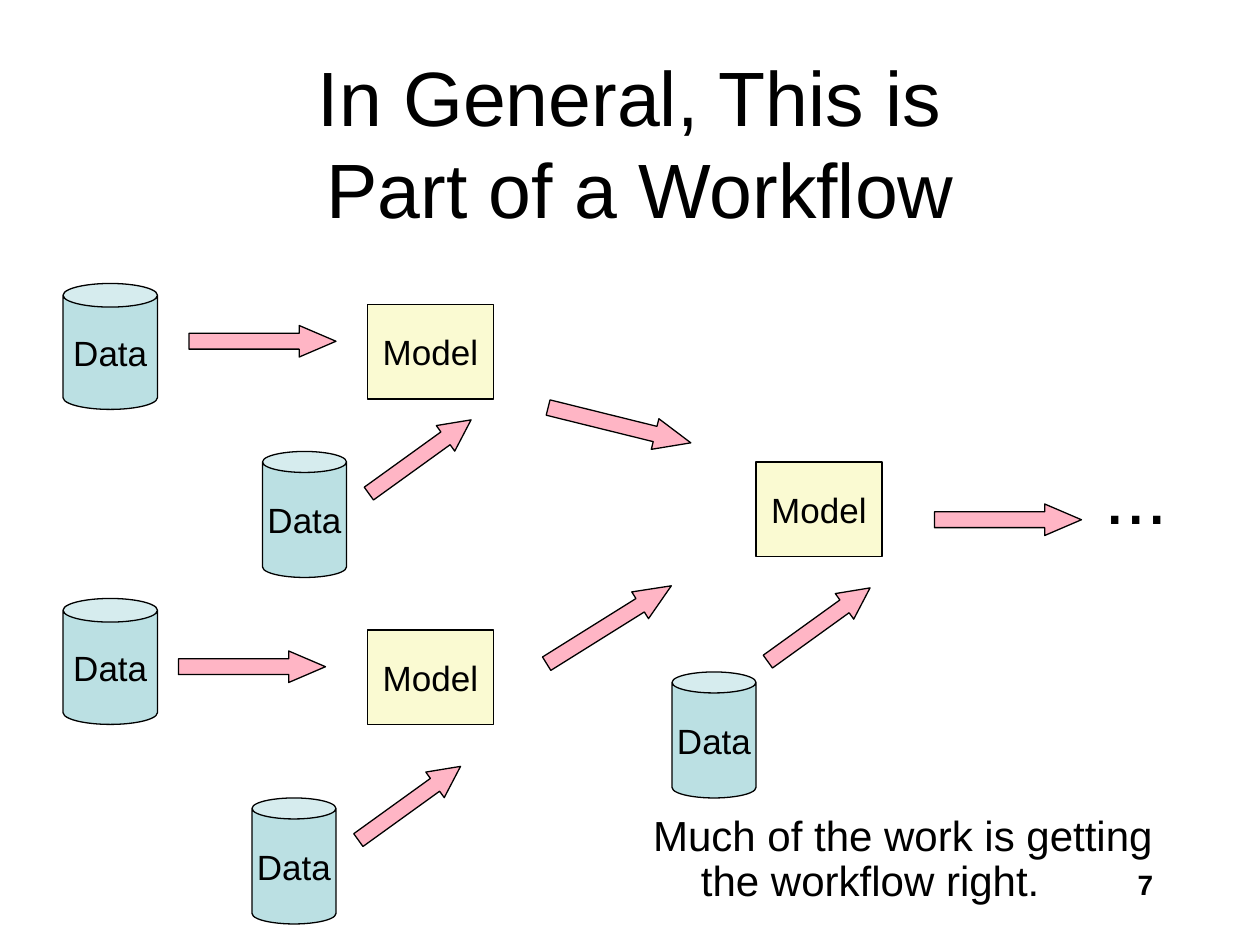
from pptx import Presentation
from pptx.dml.color import RGBColor
from pptx.enum.shapes import MSO_SHAPE
from pptx.enum.text import MSO_ANCHOR, MSO_AUTO_SIZE, PP_ALIGN
from pptx.util import Inches, Pt
from lxml import etree

CAN, RECTANGLE, ARROW = MSO_SHAPE.CAN, MSO_SHAPE.RECTANGLE, MSO_SHAPE.RIGHT_ARROW
TOP, MIDDLE = MSO_ANCHOR.TOP, MSO_ANCHOR.MIDDLE
LEFT, CENTER, RIGHT = PP_ALIGN.LEFT, PP_ALIGN.CENTER, PP_ALIGN.RIGHT
NO_AUTOFIT = MSO_AUTO_SIZE.NONE

WIDTH, HEIGHT = Inches(10), Inches(7.5)
COLUMNS, ROWS = 120, 90
FONT = "Arial"
BLACK, DATA_BLUE, MODEL_YELLOW, ARROW_PINK = "000000", "BBE0E3", "FAFAD2", "FFB5C5"
DRAWING = "http://schemas.openxmlformats.org/drawingml/2006/main"

DATA_BOXES = [
    (6, 27, 9, 12), (25, 43, 8, 12), (6, 57, 9, 12),
    (24, 76, 8, 12), (64, 64, 8, 12),
]
MODEL_BOXES = [(35, 29, 12, 9), (35, 60, 12, 9), (72, 44, 12, 9)]
ARROWS = [
    ((18, 31, 14, 3), 0), ((17, 62, 14, 3), 0), ((89, 48, 14, 3), 0),
    ((34, 42, 12, 3), 324.2), ((33, 75, 12, 3), 324.2), ((72, 58, 12, 3), 324.2),
    ((52, 39, 14, 3), 13.9), ((51, 58, 14, 3), 328),
]


def color(value):
    """Turn a hex string into a colour."""
    return RGBColor.from_string(value)


def grid(box):
    """Turn left, top, width and height in grid cells into slide lengths."""
    left, top, width, height = box
    return (
        round(left * WIDTH / COLUMNS), round(top * HEIGHT / ROWS),
        round(width * WIDTH / COLUMNS), round(height * HEIGHT / ROWS),
    )


def place(shape, box):
    """Move a placeholder to a grid box."""
    shape.left, shape.top, shape.width, shape.height = grid(box)


def write(shape, text, size, align=LEFT, anchor=TOP, wrap=True, bold=False):
    """Write one formatted paragraph into a shape and return it."""
    frame = shape.text_frame
    frame.text = text
    frame.word_wrap = wrap
    frame.auto_size = NO_AUTOFIT
    frame.vertical_anchor = anchor
    paragraph = frame.paragraphs[0]
    paragraph.alignment = align
    paragraph.space_before = Pt(0)
    for run in paragraph.runs:
        run.font.name = FONT
        run.font.size = Pt(size)
        run.font.bold = bold
        run.font.color.rgb = color(BLACK)
    return paragraph


def add_node(slide, kind, box, fill):
    """Add a filled, thinly outlined shape."""
    shape = slide.shapes.add_shape(kind, *grid(box))
    shape.shadow.inherit = False
    shape.fill.solid()
    shape.fill.fore_color.rgb = color(fill)
    shape.line.color.rgb = color(BLACK)
    shape.line.width = Pt(0.75)
    return shape


def add_arrow(slide, box, rotation):
    """Add a block arrow whose head is a quarter of its length."""
    arrow = add_node(slide, ARROW, box, ARROW_PINK)
    arrow.adjustments[1] = box[2] / box[3] / 4
    arrow.rotation = rotation


def add_workflow(slide):
    """Draw the data stores, the models and the arrows between them."""
    for boxes, kind, fill, label in (
        (DATA_BOXES, CAN, DATA_BLUE, "Data"),
        (MODEL_BOXES, RECTANGLE, MODEL_YELLOW, "Model"),
    ):
        for box in boxes:
            node = add_node(slide, kind, box, fill)
            write(node, label, 20, CENTER, MIDDLE, wrap=False)
    for box, rotation in ARROWS:
        add_arrow(slide, box, rotation)
    write(slide.shapes.add_textbox(*grid((104, 42, 13, 10))), "...", 44)


def add_title(slide, box):
    """Fill the title placeholder."""
    title = slide.shapes.title
    place(title, box)
    write(title, "In General, This is \vPart of a Workflow", 44, CENTER, MIDDLE)


def add_remark(slide, box):
    """Fill the body placeholder with an unbulleted, hanging remark."""
    body = slide.placeholders[1]
    place(body, box)
    paragraph = write(body, "Much of the work is getting the workflow right.", 24)
    paragraph.line_spacing = 0.9
    properties = paragraph._p.get_or_add_pPr()
    properties.set("marL", str(Inches(0.38)))
    properties.set("indent", str(Inches(-0.38)))
    etree.SubElement(properties, f"{{{DRAWING}}}buNone")


def add_page_number(slide, box):
    """Add the page number at the lower right."""
    write(slide.shapes.add_textbox(*grid(box)), "7", 16, RIGHT, bold=True)


def main():
    """Build the workflow slide and save it."""
    presentation = Presentation()
    presentation.slide_width, presentation.slide_height = WIDTH, HEIGHT
    slide = presentation.slides.add_slide(presentation.slide_layouts[1])
    add_title(slide, (9, 4, 104, 19))
    add_remark(slide, (61, 77, 52, 10))
    add_workflow(slide)
    add_page_number(slide, (86, 82, 25, 6))
    presentation.save("out.pptx")


if __name__ == "__main__":
    main()
